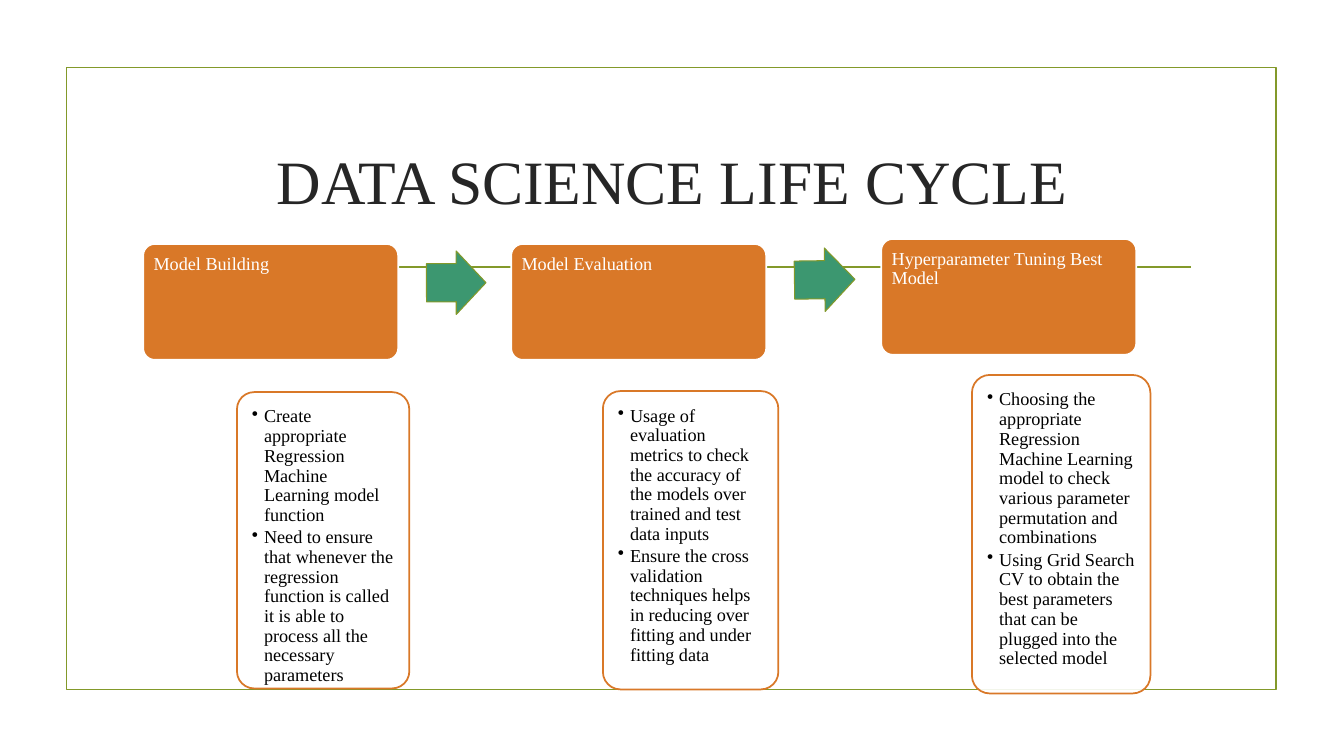
from lxml.etree import SubElement
from pptx import Presentation
from pptx.dml.color import RGBColor
from pptx.enum.shapes import MSO_CONNECTOR as Connector, MSO_SHAPE as Shape
from pptx.enum.text import MSO_ANCHOR as Anchor, PP_ALIGN as Align
from pptx.oxml.ns import qn
from pptx.util import Pt

PX = 9144
FONT = "Times New Roman"
OLIVE, ORANGE, GREEN, WHITE = "83992A", "D97828", "3C9770", "FFFFFF"
BULLET_INDENT = 12


def rgb(color):
    return RGBColor.from_string(color)


def add_block(kind, bounds, fill, line, weight, adjustments=(), inset=0, paragraphs=(), color=WHITE):
    block = page.shapes.add_shape(kind, *[value * PX for value in bounds])
    block.shadow.inherit = False
    if fill:
        block.fill.solid()
        block.fill.fore_color.rgb = rgb(fill)
    else:
        block.fill.background()
    block.line.color.rgb = rgb(line)
    block.line.width = Pt(weight)
    for index, value in enumerate(adjustments):
        block.adjustments[index] = value
    frame = block.text_frame
    frame.word_wrap = True
    frame.vertical_anchor = Anchor.TOP
    frame.margin_left = frame.margin_right = frame.margin_top = frame.margin_bottom = inset * PX
    if paragraphs:
        frame.text = "\n".join(paragraphs)
    for para in frame.paragraphs:
        if len(paragraphs) > 1:
            properties = para._p.get_or_add_pPr()
            properties.set("marL", str(BULLET_INDENT * PX))
            properties.set("indent", str(-BULLET_INDENT * PX))
            SubElement(properties, qn("a:buChar"), char="•")
        para.alignment = Align.LEFT
        para.line_spacing = 0.9
        para.space_after = Pt(2)
        for span in para.runs:
            span.font.name = FONT
            span.font.size = Pt(13)
            span.font.color.rgb = rgb(color)
    return block


deck = Presentation()
deck.slide_width = 1333 * PX
deck.slide_height = 750 * PX
page = deck.slides.add_slide(deck.slide_layouts[6])

add_block(Shape.RECTANGLE, (66, 67, 1200, 617), None, OLIVE, 1.25)

rule = page.shapes.add_connector(Connector.STRAIGHT, 153 * PX, 265 * PX, 1181 * PX, 265 * PX)
rule.line.color.rgb = rgb(OLIVE)
rule.line.width = Pt(1.25)
SubElement(rule._element.spPr, qn("a:effectLst"))

title = page.shapes.add_textbox(142 * PX, 107 * PX, 1050 * PX, 143 * PX)
title.text_frame.word_wrap = True
title.text_frame.vertical_anchor = Anchor.MIDDLE
title.text_frame.text = "DATA SCIENCE LIFE CYCLE"
heading = title.text_frame.paragraphs[0]
heading.alignment = Align.CENTER
heading.font.name = FONT
heading.font.size = Pt(44)
heading.font.color.rgb = rgb("262626")

stages = [
    ("Model Building", (142, 242), (235, 389, 171, 294), [
        "Create appropriate Regression Machine Learning model function",
        "Need to ensure that whenever the regression function is called it is able to process "
        "all the necessary parameters",
    ]),
    ("Model Evaluation", (507, 242), (598, 388, 174, 296), [
        "Usage of evaluation metrics to check the accuracy of the models over trained and test data inputs",
        "Ensure the cross validation techniques helps in reducing over fitting and under fitting data",
    ]),
    ("Hyperparameter Tuning Best Model", (874, 237), (964, 372, 177, 316), [
        "Choosing the appropriate Regression Machine Learning model to check various parameter "
        "permutation and combinations",
        "Using Grid Search CV to obtain the best parameters that can be plugged into the selected model",
    ]),
]
for name, corner, card_bounds, points in stages:
    add_block(Shape.ROUNDED_RECTANGLE, (*corner, 253, 115), ORANGE, WHITE, 1.25, [0.1], 7, [name])
    card = add_block(Shape.ROUNDED_RECTANGLE, card_bounds, WHITE, ORANGE, 1.25, [0.1], 10, points, "000000")
    card_color = card._element.spPr.find(qn("a:solidFill")).find(qn("a:srgbClr"))
    SubElement(card_color, qn("a:alpha"), val="90000")

for bounds, rotation in [((423, 249, 59, 63), 359.9), ((788, 246, 60, 63), 359.2)]:
    arrow = add_block(Shape.RIGHT_ARROW, bounds, GREEN, OLIVE, 0.75, [0.6, 0.5])
    arrow.rotation = rotation

deck.save("out.pptx")
